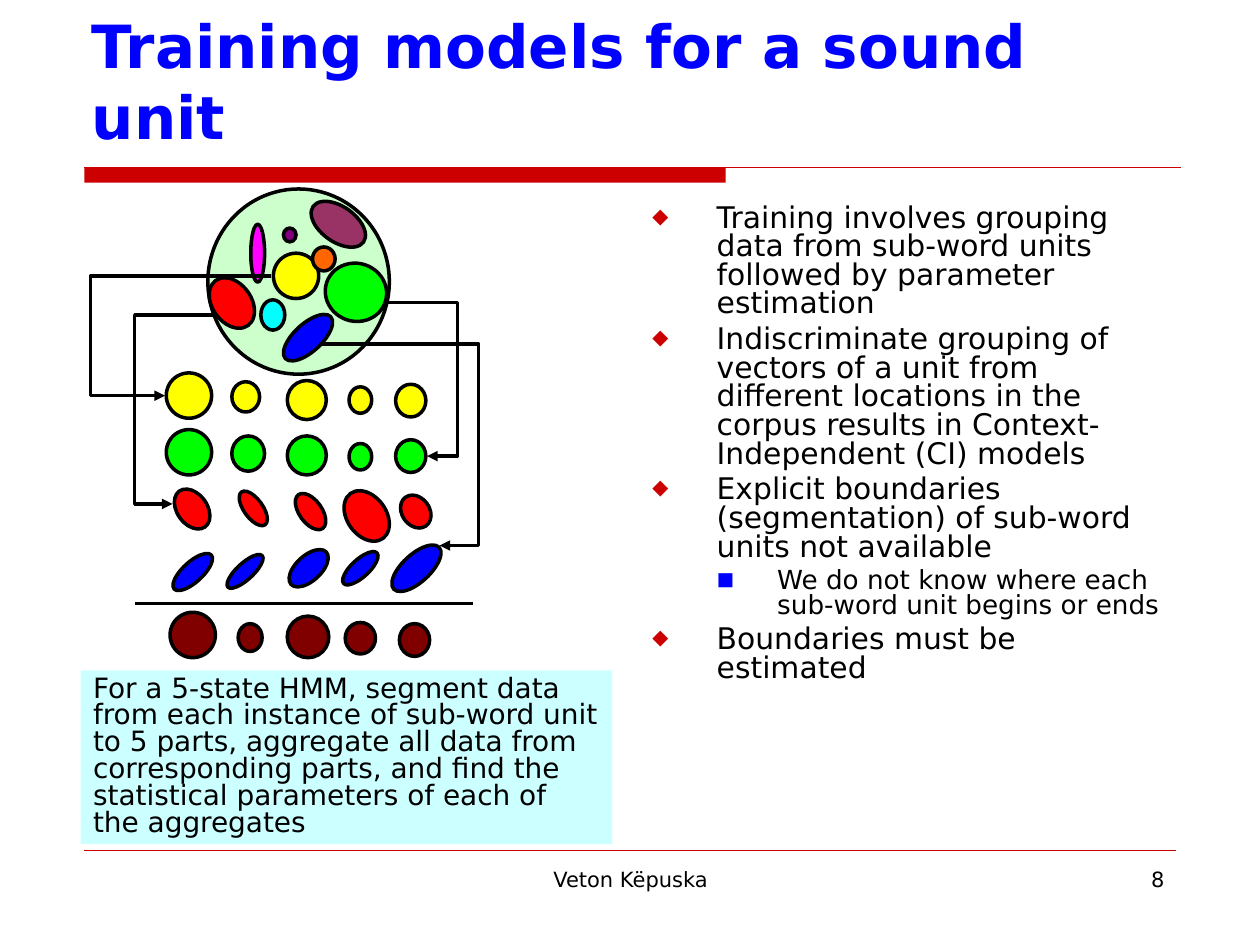
"""Build the slide on training models for a sound unit."""
from lxml import etree
from pptx import Presentation
from pptx.dml.color import RGBColor
from pptx.enum.shapes import MSO_CONNECTOR as CONN, MSO_SHAPE as SHAPE
from pptx.enum.text import MSO_ANCHOR as ANCHOR, PP_ALIGN as ALIGN
from pptx.oxml.ns import qn
from pptx.util import Inches, Pt


def rgb(value):
    return RGBColor.from_string(value)


def add_line(kind, x1, y1, x2, y2, color, width):
    s = shapes.add_connector(kind, Inches(x1), Inches(y1), Inches(x2), Inches(y2))
    s.line.color.rgb = rgb(color)
    s.line.width = Pt(width)
    etree.SubElement(s._element.spPr, qn("a:effectLst"))
    return s


prs = Presentation()
prs.slide_width, prs.slide_height = Inches(10), Inches(7.5)
shapes = prs.slides.add_slide(prs.slide_layouts[6]).shapes

s = shapes.add_shape(SHAPE.RECTANGLE, Inches(0.67), Inches(1.33), Inches(5.09), Inches(0.12))
s.shadow.inherit = False
s.fill.solid()
s.fill.fore_color.rgb = rgb("CC0000")
s.line.fill.background()
add_line(CONN.STRAIGHT, 0.67, 1.33, 9.37, 1.33, "CC0000", 0.75)
add_line(CONN.STRAIGHT, 0.67, 6.75, 9.33, 6.75, "CC0000", 0.25)

labels = [
    ("Veton Këpuska", 3.42, 6.83, 3.17, 0.52, 12, "000000", False, ALIGN.CENTER, ANCHOR.TOP),
    ("8", 7.17, 6.83, 2.17, 0.52, 12, "000000", False, ALIGN.RIGHT, ANCHOR.TOP),
    ("Training models for a sound unit", 0.63, 0.33, 8.75, 0.92, 34, "0000FF", True,
     ALIGN.LEFT, ANCHOR.BOTTOM),
]
for text, x, y, w, h, size, color, bold, align, anchor in labels:
    tf = shapes.add_textbox(Inches(x), Inches(y), Inches(w), Inches(h)).text_frame
    tf.word_wrap = True
    tf.vertical_anchor = anchor
    p = tf.paragraphs[0]
    p.text = text
    p.alignment = align
    font = p.runs[0].font
    font.name, font.size, font.bold = "DejaVu Sans", Pt(size), bold
    font.color.rgb = rgb(color)

points = [
    (0, "Training involves grouping data from sub-word units followed by parameter estimation"),
    (0, "Indiscriminate grouping of vectors of a unit from different locations in the corpus "
        "results in Context-Independent (CI) models"),
    (0, "Explicit boundaries (segmentation) of sub-word units not available"),
    (1, "We do not know where each sub-word unit begins or ends"),
    (0, "Boundaries must be estimated"),
]
levels = [(0.51, 0.51, "◆", "CC0000", 17, 4.2), (0.99, 0.48, "■", "0000FF", 15, 3.7)]
tf = shapes.add_textbox(Inches(5.08), Inches(1.58), Inches(4.29), Inches(5)).text_frame
tf.word_wrap = True
for i, (level, text) in enumerate(points):
    margin, hang, bullet, color, size, before = levels[level]
    p = tf.add_paragraph() if i else tf.paragraphs[0]
    p.text = text
    p.level = level
    p.line_spacing = 0.8
    p.space_before = Pt(before if i else 0)
    pPr = p._p.get_or_add_pPr()
    pPr.set("marL", str(Inches(margin)))
    pPr.set("indent", str(-Inches(hang)))
    bu_color = etree.SubElement(pPr, qn("a:buClr"))
    etree.SubElement(bu_color, qn("a:srgbClr"), val=color)
    etree.SubElement(pPr, qn("a:buSzPct"), val="70000")
    etree.SubElement(pPr, qn("a:buFont"), typeface="DejaVu Sans")
    etree.SubElement(pPr, qn("a:buChar"), char=bullet)
    font = p.runs[0].font
    font.name, font.size = "DejaVu Sans", Pt(size)
    font.color.rgb = rgb("000000")

groups = [
    ("CCFFCC", 0, [(1.65, 1.5, 1.44, 1.47)]),
    ("FF0000", 54.3, [(1.62, 2.25, 0.44, 0.31)]),
    ("FF00FF", 0, [(1.99, 1.78, 0.11, 0.46)]),
    ("FFFF00", 0, [(2.17, 2.01, 0.36, 0.36)]),
    ("00FF00", 18.6, [(2.58, 2.09, 0.49, 0.46)]),
    ("00FFFF", 0, [(2.07, 2.38, 0.19, 0.24)]),
    ("993366", 35.3, [(2.44, 1.64, 0.49, 0.28)]),
    ("0000FF", 317.4, [(2.2, 2.57, 0.49, 0.22)]),
    ("800080", 0, [(2.25, 1.81, 0.1, 0.11)]),
    ("FF6600", 0, [(2.48, 1.96, 0.18, 0.19)]),
    ("FFFF00", 0, [(1.32, 2.96, 0.36, 0.36), (1.84, 3.03, 0.22, 0.24), (2.28, 3.02, 0.31, 0.31),
                   (2.77, 3.07, 0.18, 0.21), (3.14, 3.05, 0.24, 0.26)]),
    ("00FF00", 0, [(1.32, 3.41, 0.36, 0.36), (1.84, 3.46, 0.26, 0.28), (2.28, 3.46, 0.31, 0.31),
                   (2.77, 3.52, 0.18, 0.21), (3.14, 3.49, 0.24, 0.26)]),
    ("FF0000", 54.3, [(1.35, 3.92, 0.35, 0.24), (1.85, 3.96, 0.32, 0.15), (2.3, 3.97, 0.33, 0.18),
                      (2.69, 3.94, 0.44, 0.31), (3.16, 3.95, 0.28, 0.22)]),
    ("0000FF", 317.4, [(1.33, 4.46, 0.4, 0.16), (1.76, 4.47, 0.37, 0.13), (2.26, 4.41, 0.38, 0.2),
                       (2.68, 4.44, 0.36, 0.14), (3.06, 4.4, 0.49, 0.22)]),
    ("800000", 0, [(1.35, 4.86, 0.36, 0.36), (1.89, 4.95, 0.19, 0.22), (2.28, 4.89, 0.33, 0.33),
                   (2.74, 4.94, 0.24, 0.25), (3.17, 4.95, 0.24, 0.26)]),
]
for color, rotation, ovals in groups:
    for x, y, w, h in ovals:
        s = shapes.add_shape(SHAPE.OVAL, Inches(x), Inches(y), Inches(w), Inches(h))
        s.shadow.inherit = False
        s.rotation = rotation
        s.fill.solid()
        s.fill.fore_color.rgb = rgb(color)
        s.line.color.rgb = rgb("000000")
        s.line.width = Pt(2)

arrows = [
    (2.15, 2.19, 0.72, 1.31, 3.14),
    (1.71, 2.5, 1.07, 1.37, 4),
    (3.07, 2.4, 3.63, 3.39, 3.62),
    (2.53, 2.73, 3.8, 3.49, 4.33),
]
for x1, y1, bend, x2, y2 in arrows:
    s = add_line(CONN.ELBOW, x1, y1, x2, y2, "000000", 2)
    ratio = round((bend - x1) / (x2 - x1) * 100000)
    guides = s._element.spPr.find(qn("a:prstGeom")).find(qn("a:avLst"))
    etree.SubElement(guides, qn("a:gd"), name="adj1", fmla=f"val {ratio}")
    etree.SubElement(s.line._get_or_add_ln(), qn("a:tailEnd"), type="triangle")
add_line(CONN.STRAIGHT, 1.07, 4.79, 3.75, 4.79, "000000", 2)

s = shapes.add_shape(SHAPE.RECTANGLE, Inches(0.64), Inches(5.32), Inches(4.22), Inches(1.38))
s.shadow.inherit = False
s.fill.solid()
s.fill.fore_color.rgb = rgb("CCFFFF")
s.line.fill.background()
tf = s.text_frame
tf.word_wrap = True
tf.vertical_anchor = ANCHOR.TOP
p = tf.paragraphs[0]
p.text = ("For a 5-state HMM, segment data from each instance of sub-word unit to 5 parts, "
          "aggregate all data from corresponding parts, and find the statistical parameters "
          "of each of the aggregates")
p.alignment = ALIGN.LEFT
p.line_spacing = 0.8
font = p.runs[0].font
font.name, font.size = "DejaVu Sans", Pt(16)
font.color.rgb = rgb("000000")

prs.save("out.pptx")
